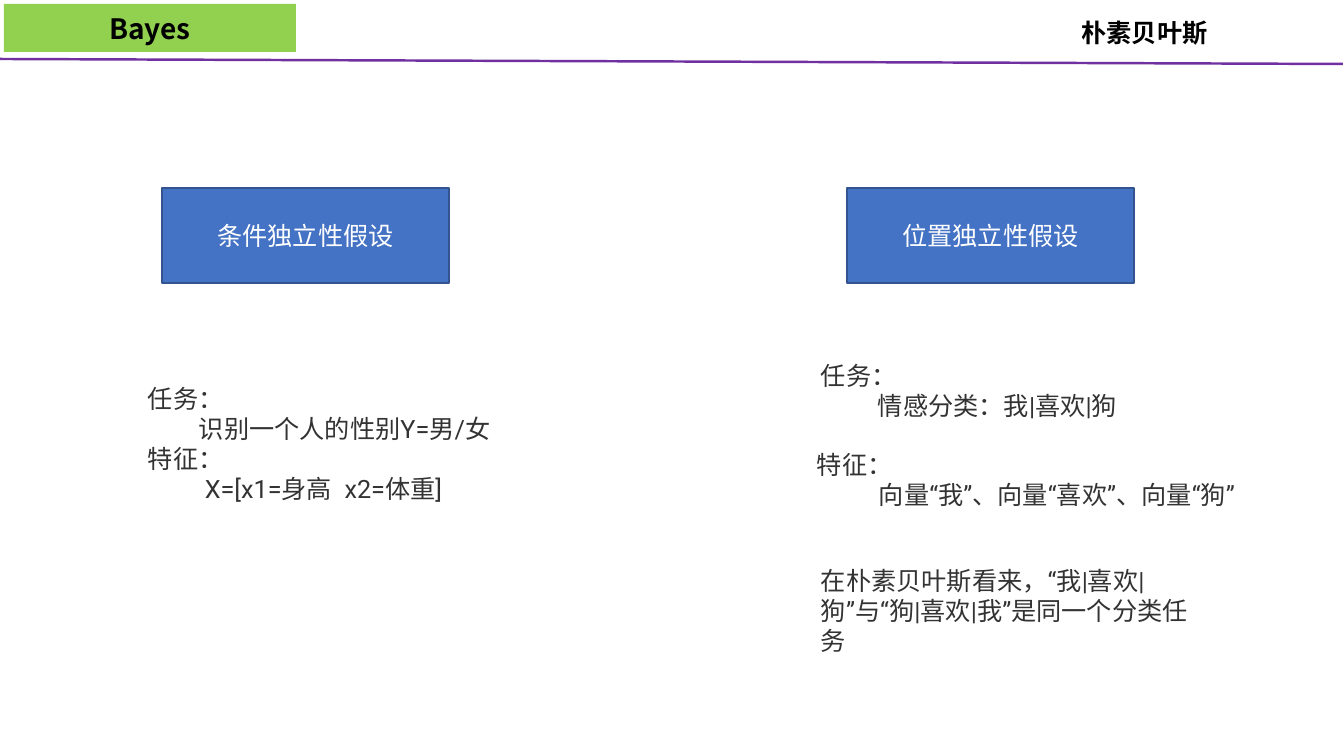
from lxml import etree
from pptx import Presentation
from pptx.dml.color import RGBColor
from pptx.enum.shapes import MSO_CONNECTOR, MSO_SHAPE
from pptx.enum.text import MSO_ANCHOR, PP_ALIGN
from pptx.oxml.ns import qn
from pptx.util import Pt

RECT = MSO_SHAPE.RECTANGLE
LINE = MSO_CONNECTOR.STRAIGHT
MIDDLE = MSO_ANCHOR.MIDDLE
LEFT = PP_ALIGN.LEFT
CENTER = PP_ALIGN.CENTER
HEAD = "Noto Sans CJK SC"
BODY = "Roboto"
SCALE = 12192000 / 1344


def px(size):
    return round(size * SCALE)


def color(code):
    return RGBColor.from_string(code)


def write(frame, rows, face, size, tint, bold=False, align=LEFT):
    frame.word_wrap = True
    for i, (text, indent) in enumerate(rows):
        para = frame.paragraphs[0] if i == 0 else frame.add_paragraph()
        para.text = text
        para.alignment = align
        if indent:
            props = para._p.get_or_add_pPr()
            props.set("marL", "0")
            props.set("indent", str(px(indent)))
        for run in para.runs:
            font = run.font
            font.name = face
            font.size = Pt(size)
            font.bold = bold
            font.color.rgb = color(tint)
            east = etree.SubElement(run._r.get_or_add_rPr(), qn("a:ea"))
            east.set("typeface", face)


def add_box(slide, area, text, fill, edge, size, tint, bold=False):
    box = slide.shapes.add_shape(RECT, *map(px, area))
    box.shadow.inherit = False
    box.fill.solid()
    box.fill.fore_color.rgb = color(fill)
    if edge:
        box.line.color.rgb = color(edge)
        box.line.width = Pt(1)
    else:
        box.line.fill.background()
    box.text_frame.vertical_anchor = MIDDLE
    write(box.text_frame, [(text, 0)], HEAD, size, tint, bold, CENTER)


def add_note(slide, area, rows):
    note = slide.shapes.add_textbox(*map(px, area))
    write(note.text_frame, rows, BODY, 18, "333333")


def add_title(slide, area, text):
    title = slide.shapes.add_textbox(*map(px, area))
    write(title.text_frame, [(text, 0)], HEAD, 18, "000000", True, CENTER)


def add_rule(slide, ends, tint, width):
    rule = slide.shapes.add_connector(LINE, *map(px, ends))
    rule.line.color.rgb = color(tint)
    rule.line.width = Pt(width)
    etree.SubElement(rule._element.spPr, qn("a:effectLst"))


def main():
    deck = Presentation()
    deck.slide_width = px(1344)
    deck.slide_height = px(756)
    slide = deck.slides.add_slide(deck.slide_layouts[6])

    add_box(slide, (4, 4, 292, 48), "Bayes", "92D050", None, 20, "000000", True)
    add_rule(slide, (0, 59, 1343, 64), "7030A0", 1.75)
    for left, text in ((162, "条件独立性假设"), (847, "位置独立性假设")):
        add_box(slide, (left, 188, 287, 95), text, "4472C4", "325491", 18, "FFFFFF")

    add_note(slide, (138, 378, 418, 163), [
        ("任务：", 0),
        ("识别一个人的性别Y=男/女", 51),
        ("特征：", 0),
        ("X=[x1=身高  x2=体重]", 57),
    ])
    add_note(slide, (811, 355, 465, 72), [
        ("任务：", 0),
        ("情感分类：我|喜欢|狗", 57),
    ])
    add_note(slide, (807, 444, 473, 72), [
        ("特征：", 0),
        ("向量“我”、向量“喜欢”、向量“狗”", 62),
    ])
    add_note(slide, (811, 560, 402, 72), [
        ("在朴素贝叶斯看来，“我|喜欢|狗”与“狗|喜欢|我”是同一个分类任务", 0),
    ])
    add_title(slide, (1025, 12, 239, 40), "朴素贝叶斯")
    deck.save("out.pptx")


if __name__ == "__main__":
    main()
